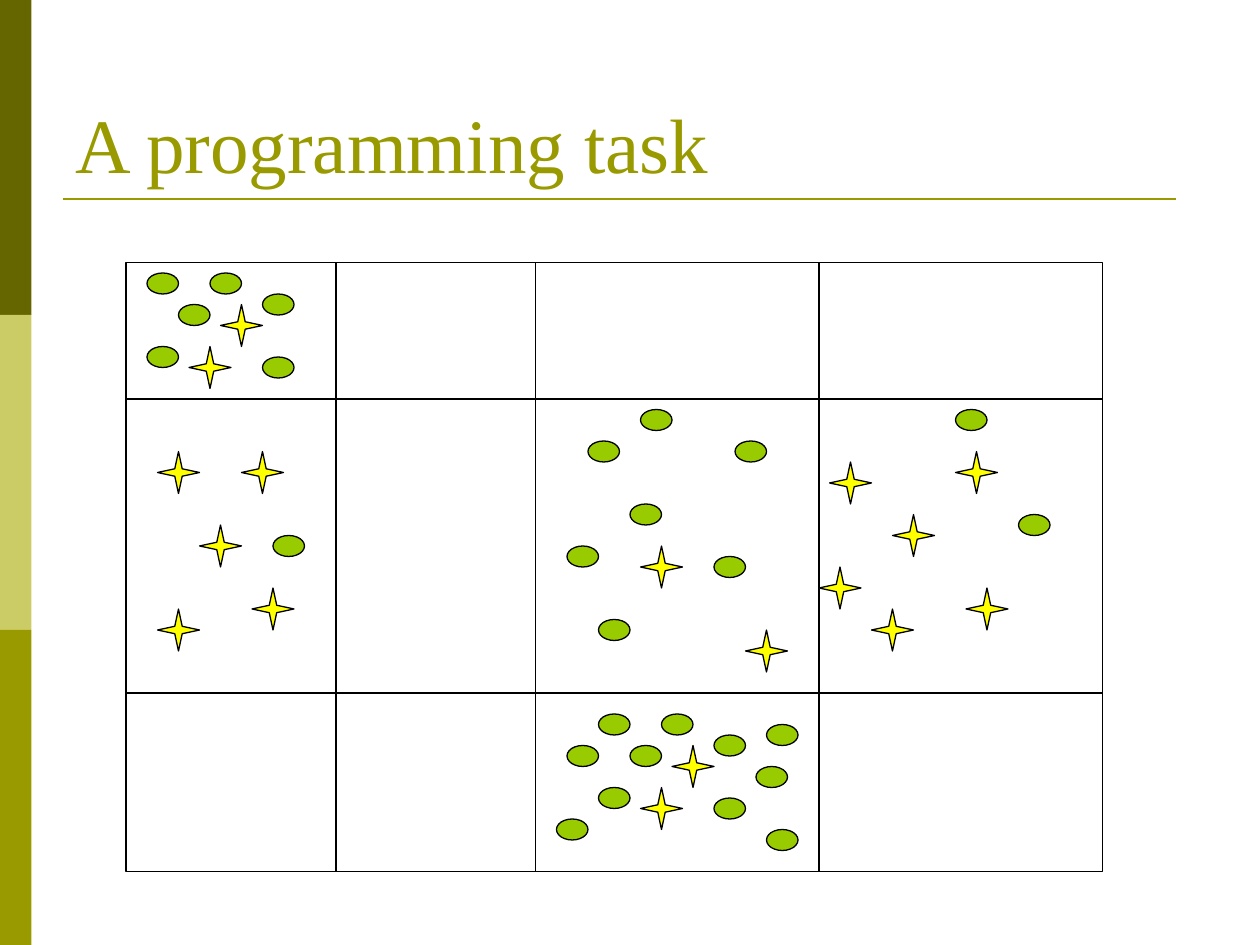
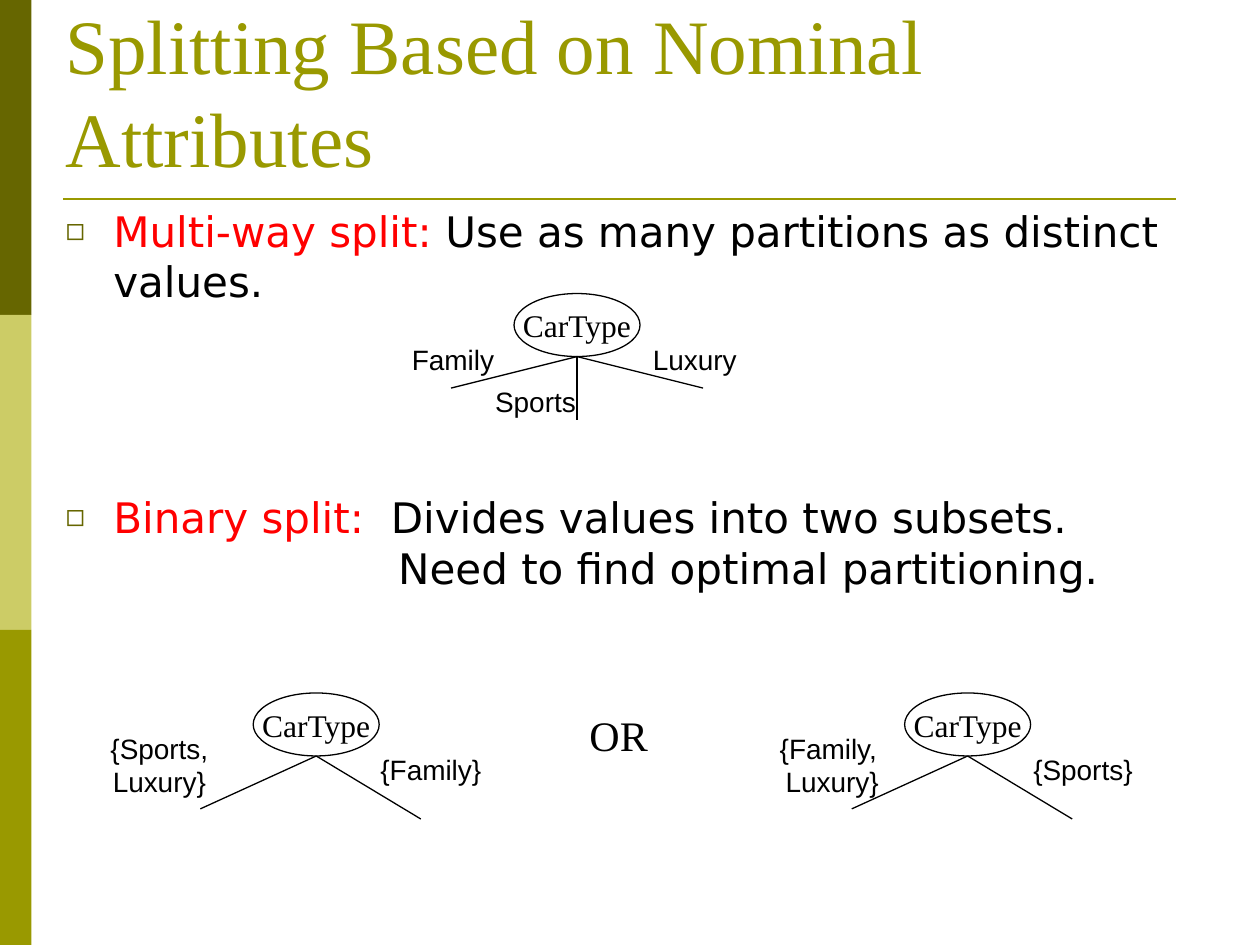
from lxml.etree import SubElement
from pptx import Presentation
from pptx.dml.color import RGBColor
from pptx.enum.shapes import MSO_CONNECTOR as Connector, MSO_SHAPE as Shape
from pptx.enum.text import MSO_ANCHOR as Anchor, MSO_AUTO_SIZE as AutoSize, PP_ALIGN as Align
from pptx.oxml.ns import qn
from pptx.util import Inches, Pt

BLACK = RGBColor(0, 0, 0)
WHITE = RGBColor(255, 255, 255)
RED = RGBColor(255, 0, 0)
YELLOW = RGBColor(255, 255, 0)
GREEN = RGBColor(0x99, 0xCC, 0x00)
OLIVE = RGBColor(0x99, 0x99, 0x00)
DARK_OLIVE = RGBColor(0x66, 0x66, 0x00)
PALE_OLIVE = RGBColor(0xCC, 0xCC, 0x66)

SERIF, SANS, BODY = "Times New Roman", "Arial", "DejaVu Sans"
TITLE_ONLY, TITLE_AND_BODY = 5, 1

GRID_COLUMNS = (12, 32, 51, 78, 105)
GRID_ROWS = (25, 38, 66, 83)
OVALS = (
    (17, 29), (14, 33), (14, 26), (20, 26), (25, 28), (25, 34),
    (26, 51),
    (60, 48), (57, 59), (56, 42), (70, 42), (61, 39), (68, 53), (54, 52),
    (91, 39), (97, 49),
    (60, 71), (57, 75), (57, 68), (63, 68), (68, 70), (68, 76),
    (73, 79), (73, 69), (72, 73), (53, 78), (54, 71),
)
STARS = (
    (18, 33), (21, 29),
    (15, 43), (19, 50), (23, 43), (15, 58), (24, 56),
    (61, 52), (71, 60),
    (79, 44), (78, 54), (91, 43), (83, 58), (92, 56), (85, 49),
    (61, 75), (64, 71),
)


def write(paragraph, text, font=SANS, size=16, color=BLACK, alignment=None):
    if alignment is not None:
        paragraph.alignment = alignment
    for number, line in enumerate(text.split("\n")):
        if number:
            paragraph.add_line_break()
        run = paragraph.add_run()
        run.text = line
        run.font.name = font
        run.font.size = Pt(size)
        run.font.color.rgb = color


def twelfths(*numbers):
    return [number / 12 for number in numbers]


class Deck:
    def __init__(self):
        self.presentation = Presentation()
        self.presentation.slide_width = Inches(10)
        self.presentation.slide_height = Inches(7.5)

    def new_slide(self, layout, title, title_box):
        layouts = self.presentation.slide_layouts
        self.slide = self.presentation.slides.add_slide(layouts[layout])
        self.shapes = self.slide.shapes
        for number, color in enumerate((DARK_OLIVE, PALE_OLIVE, OLIVE)):
            self.shape(Shape.RECTANGLE, (0, number * 2.5, 0.25, 2.5), color, line=None)
        self.line((0.5, 1.58), (9.33, 1.58), OLIVE, 1.5)
        frame = self.placeholder(self.shapes.title, title_box, Anchor.BOTTOM)
        write(frame.paragraphs[0], title, SERIF, 44, OLIVE, Align.LEFT)

    def place(self, shape, box):
        shape.left, shape.top, shape.width, shape.height = map(Inches, box)

    def placeholder(self, shape, box, anchor):
        self.place(shape, box)
        frame = shape.text_frame
        frame.auto_size = AutoSize.NONE
        frame.vertical_anchor = anchor
        return frame

    def shape(self, kind, box, fill, line=BLACK):
        shape = self.shapes.add_shape(kind, *map(Inches, box))
        shape.shadow.inherit = False
        shape.fill.solid()
        shape.fill.fore_color.rgb = fill
        if line is None:
            shape.line.fill.background()
        else:
            shape.line.color.rgb = line
            shape.line.width = Pt(0.75)
        return shape

    def line(self, start, end, color=BLACK, width=0.75):
        connector = self.shapes.add_connector(
            Connector.STRAIGHT, *map(Inches, (*start, *end)))
        connector.line.color.rgb = color
        connector.line.width = Pt(width)
        SubElement(connector.element.spPr, qn("a:effectLst"))

    def label(self, text, box, wrap=False, **text_format):
        frame = self.shapes.add_textbox(*map(Inches, box)).text_frame
        frame.word_wrap = wrap
        frame.vertical_anchor = Anchor.MIDDLE
        write(frame.paragraphs[0], text, alignment=Align.CENTER, **text_format)

    def bullet(self, paragraph, heading, text, space_before):
        paragraph.space_before = Pt(space_before)
        self.indent(paragraph, 0.38, -0.38)
        properties = paragraph._p.get_or_add_pPr()
        color = SubElement(properties, qn("a:buClr"))
        SubElement(color, qn("a:srgbClr"), val=str(DARK_OLIVE))
        SubElement(properties, qn("a:buSzPct"), val="75000")
        SubElement(properties, qn("a:buChar"), char="◻")
        write(paragraph, heading, BODY, 24, RED)
        write(paragraph, text, BODY, 24)

    def continuation(self, paragraph, text, left):
        paragraph.space_before = Pt(0)
        self.indent(paragraph, left, 0)
        SubElement(paragraph._p.get_or_add_pPr(), qn("a:buNone"))
        write(paragraph, text, BODY, 24)

    def indent(self, paragraph, left, first):
        properties = paragraph._p.get_or_add_pPr()
        properties.set("marL", str(Inches(left)))
        properties.set("indent", str(Inches(first)))

    def tree(self, left, top, branches, labels):
        self.shapes = self.slide.shapes.add_group_shape().shapes
        root = self.shape(Shape.OVAL, (left, top, 1, 0.5), WHITE)
        frame = root.text_frame
        frame.word_wrap = False
        frame.vertical_anchor = Anchor.MIDDLE
        write(frame.paragraphs[0], "CarType", SERIF, 18, alignment=Align.CENTER)
        x, y = left + 0.5, top + 0.5
        for across, down in branches:
            self.line((x, y), (x + across, y + down))
        for text, box, wrap in labels:
            self.label(text, box, wrap)
        self.shapes = self.slide.shapes


def add_task_slide(deck):
    deck.new_slide(TITLE_ONLY, "A programming task", (0.5, 0.3, 9, 1.25))
    left, *inner_columns, right = twelfths(*GRID_COLUMNS)
    top, *inner_rows, bottom = twelfths(*GRID_ROWS)
    deck.shape(Shape.RECTANGLE, (left, top, right - left, bottom - top), WHITE)
    for y in inner_rows:
        deck.line((left, y), (right, y))
    for x in inner_columns:
        deck.line((x, top), (x, bottom))
    for x, y in OVALS:
        deck.shape(Shape.OVAL, twelfths(x, y, 3, 2), GREEN)
    for x, y in STARS:
        star = deck.shape(Shape.STAR_4_POINT, twelfths(x, y, 4, 4), YELLOW)
        star.adjustments[0] = 0.125


def add_splitting_slide(deck):
    deck.new_slide(TITLE_AND_BODY, "Splitting Based on Nominal Attributes",
                   (0.42, 0.92, 9.42, 0.58))
    body = deck.placeholder(deck.slide.placeholders[1], (0.42, 1.58, 9.17, 4.08), Anchor.TOP)
    deck.bullet(body.paragraphs[0], "Multi-way split:",
                " Use as many partitions as distinct values.", 4.8)
    deck.bullet(body.add_paragraph(), "Binary split:",
                "  Divides values into two subsets.", 106)
    deck.continuation(body.add_paragraph(), "Need to find optimal partitioning.", 2.64)

    deck.tree(4.08, 2.33, ((-1, 0.25), (0, 0.5), (1, 0.25)), (
        ("Family", (3.17, 2.67, 0.85, 0.37), False),
        ("Sports", (3.83, 3, 0.84, 0.37), False),
        ("Luxury", (5.08, 2.67, 0.87, 0.37), False)))
    binary_branches = ((-0.92, 0.42), (0.83, 0.5))
    deck.tree(7.18, 5.5, binary_branches, (
        ("{Family, \nLuxury}", (6.08, 5.75, 1.05, 0.64), False),
        ("{Sports}", (8.1, 5.92, 0.99, 0.37), False)))
    deck.tree(2.01, 5.5, binary_branches, (
        ("{Sports, Luxury}", (0.75, 5.75, 1.03, 0.64), True),
        ("{Family}", (2.92, 5.92, 1, 0.37), False)))
    deck.label("OR", (4.58, 5.58, 0.66, 0.5), font=SERIF, size=24)


def main():
    deck = Deck()
    add_task_slide(deck)
    add_splitting_slide(deck)
    deck.presentation.save("out.pptx")


if __name__ == "__main__":
    main()
